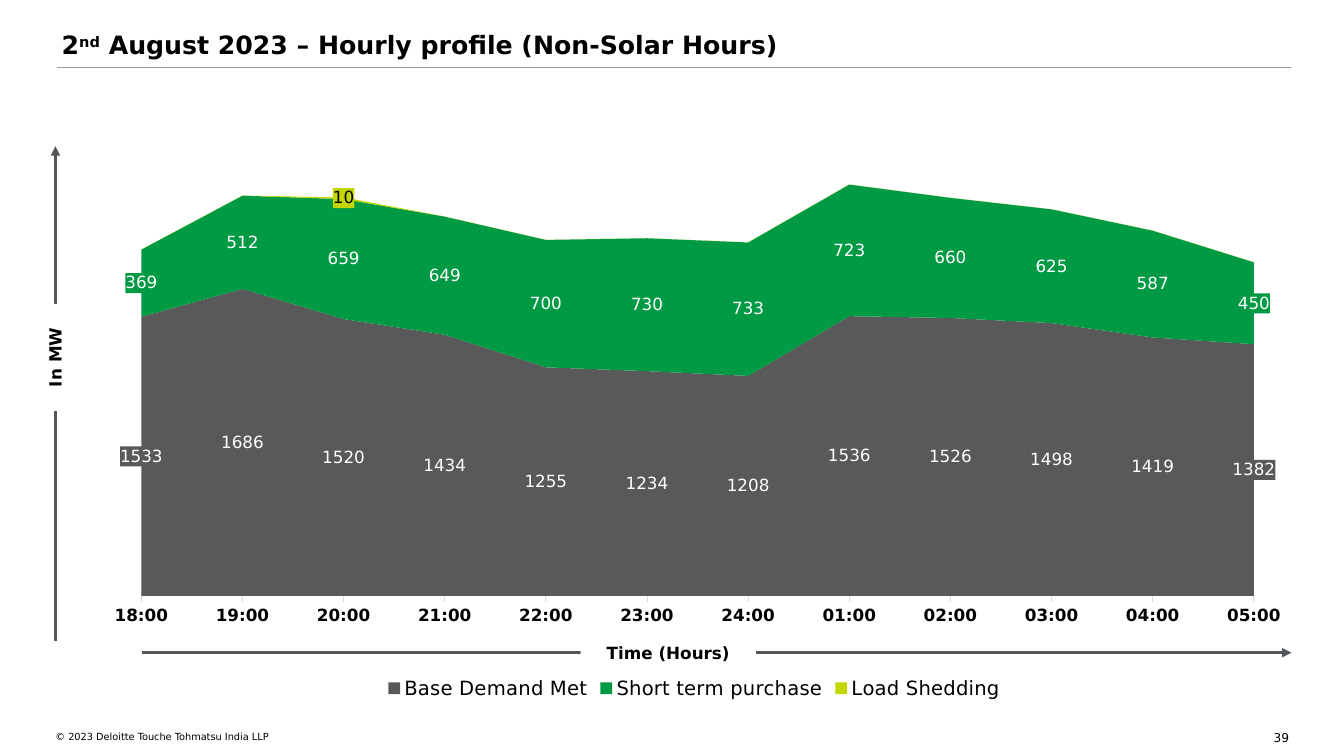
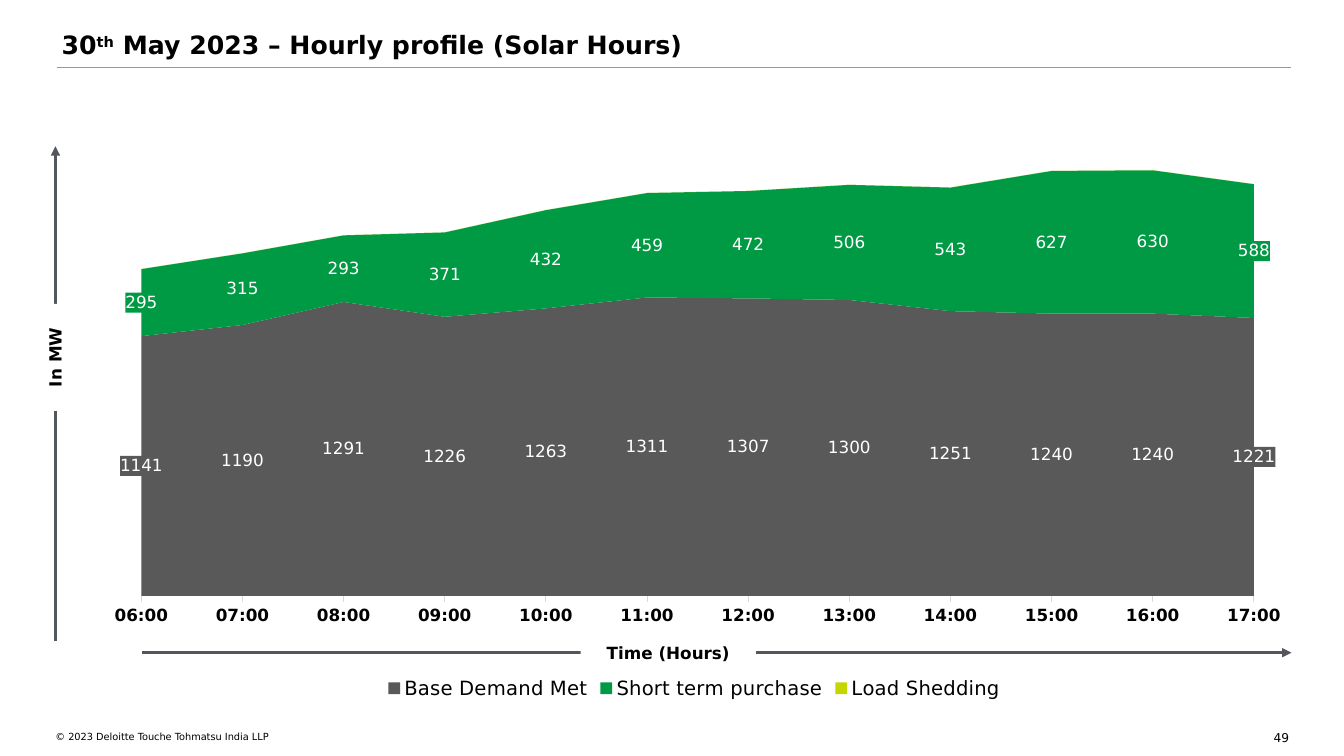
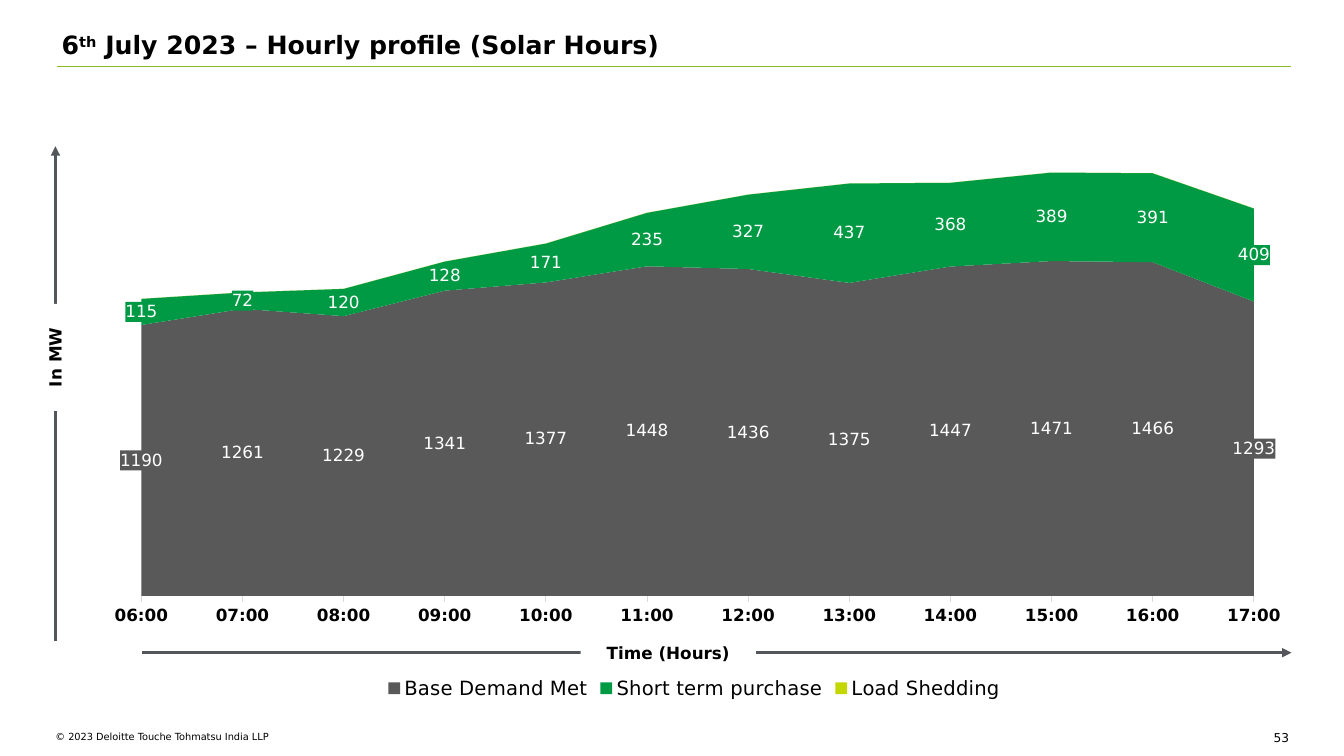
from dataclasses import dataclass

from pptx import Presentation
from pptx.chart.data import CategoryChartData
from pptx.dml.color import RGBColor
from pptx.enum.chart import XL_CHART_TYPE as ChartType
from pptx.enum.chart import XL_LEGEND_POSITION as LegendPosition
from pptx.enum.chart import XL_TICK_MARK as TickMark
from pptx.enum.shapes import MSO_CONNECTOR as Connector
from pptx.enum.shapes import MSO_SHAPE as Shape
from pptx.enum.text import MSO_ANCHOR as Anchor
from pptx.enum.text import MSO_AUTO_SIZE as AutoSize
from pptx.enum.text import PP_ALIGN as Align
from pptx.oxml import parse_xml
from pptx.oxml.ns import nsdecls
from pptx.util import Pt


@dataclass(frozen=True)
class Theme:
    font: str = "DejaVu Sans"
    black: str = "000000"
    white: str = "FFFFFF"
    grey_rule: str = "97999B"
    green_rule: str = "86BC25"
    arrow: str = "53565A"
    axis: str = "D9D9D9"
    base_demand: str = "595959"
    purchase: str = "009A44"
    shedding: str = "C4D600"
    title_size: float = 18
    legend_size: float = 14
    label_size: float = 12
    chart_size: float = 10
    number_size: float = 8.7
    footer_size: float = 7


THEME = Theme()
COPYRIGHT = "© 2023 Deloitte Touche Tohmatsu India LLP"
PLOT_LAYOUT = {"x": 0.035, "y": 0.098, "w": 0.936, "h": 0.729}
SERIES = (
    ("Base Demand Met", THEME.base_demand, THEME.white),
    ("Short term purchase", THEME.purchase, THEME.white),
    ("Load Shedding", THEME.shedding, THEME.black),
)


def hours(first, last):
    return [f"{hour:02d}:00" for hour in range(first, last + 1)]


SOLAR_HOURS = hours(6, 17)
NON_SOLAR_HOURS = hours(18, 24) + hours(1, 5)

PROFILES = [
    {
        "title": ("2", "nd", " August 2023 – Hourly profile (Non-Solar Hours)"),
        "number": 39, "rule": (THEME.grey_rule, 48.4),
        "hours": NON_SOLAR_HOURS, "maximum": 2500,
        "values": (
            (1533, 1686, 1520, 1434, 1255, 1234, 1208, 1536, 1526, 1498, 1419, 1382),
            (369, 512, 659, 649, 700, 730, 733, 723, 660, 625, 587, 450),
            (0, 0, 10) + (0,) * 9,
        ),
    },
    {
        "title": ("30", "th", " May 2023 – Hourly profile (Solar Hours)"),
        "number": 49, "rule": (THEME.grey_rule, 48.4),
        "hours": SOLAR_HOURS, "maximum": 2000,
        "values": (
            (1141, 1190, 1291, 1226, 1263, 1311, 1307, 1300, 1251, 1240, 1240, 1221),
            (295, 315, 293, 371, 432, 459, 472, 506, 543, 627, 630, 588),
            (0,) * 12,
        ),
    },
    {
        "title": ("6", "th", " July 2023 – Hourly profile (Solar Hours)"),
        "number": 53, "rule": (THEME.green_rule, 47.6),
        "hours": SOLAR_HOURS, "maximum": 2000,
        "values": (
            (1190, 1261, 1229, 1341, 1377, 1448, 1436, 1375, 1447, 1471, 1466, 1293),
            (115, 72, 120, 128, 171, 235, 327, 437, 368, 389, 391, 409),
            (0,) * 12,
        ),
    },
]


def points(*lengths):
    return [Pt(length) for length in lengths]


def insert_fill(text_properties, color=None):
    """Give a chart part a fill, or none, ahead of its text properties."""
    fill = (f'<a:solidFill><a:srgbClr val="{color}"/></a:solidFill>'
            if color else "<a:noFill/>")
    text_properties.addprevious(parse_xml(
        f'<c:spPr {nsdecls("c", "a")}>{fill}<a:ln><a:noFill/></a:ln></c:spPr>'))


class Deck:
    def __init__(self, theme):
        self.theme = theme
        self.presentation = Presentation()
        self.presentation.slide_width, self.presentation.slide_height = points(960, 540)
        self.slide = None

    def style(self, font, size, color, bold=False):
        font.name = self.theme.font
        font.size = Pt(size)
        font.bold = bold
        font.color.rgb = RGBColor.from_string(color)

    def add_run(self, paragraph, text, size, bold=False):
        run = paragraph.add_run()
        run.text = text
        self.style(run.font, size, self.theme.black, bold)
        return run

    def prepare_frame(self, shape, margin=0, anchor=Anchor.TOP):
        """Set margins and anchor; return the first paragraph."""
        frame = shape.text_frame
        frame.word_wrap = True
        frame.auto_size = AutoSize.NONE
        frame.vertical_anchor = anchor
        frame.margin_left = frame.margin_right = Pt(margin)
        frame.margin_top = frame.margin_bottom = Pt(margin)
        return frame.paragraphs[0]

    def add_slide(self, title, number, rule):
        layout = self.presentation.slide_layouts.get_by_name("Title Only")
        self.slide = self.presentation.slides.add_slide(layout)
        self.add_title(*title)
        rule_color, rule_top = rule
        self.add_line((40.5, rule_top), (922.5, rule_top), rule_color, 1)
        self.add_text(COPYRIGHT, (39.6, 522, 422, 16), self.theme.footer_size)
        self.add_text(str(number), (896.4, 522, 24.5, 8), self.theme.number_size,
                      Align.RIGHT)

    def add_title(self, day, ordinal, rest):
        shape = self.slide.shapes.title
        shape.left, shape.top, shape.width, shape.height = points(44, 21, 879, 27.4)
        paragraph = self.prepare_frame(shape)
        paragraph.alignment = Align.LEFT
        size = self.theme.title_size
        self.add_run(paragraph, day, size, True)
        raised = self.add_run(paragraph, ordinal, size, True)
        raised.font._element.set("baseline", "30000")
        self.add_run(paragraph, rest, size, True)

    def add_text(self, text, box, size, alignment=Align.LEFT):
        shape = self.slide.shapes.add_textbox(*points(*box))
        paragraph = self.prepare_frame(shape)
        paragraph.alignment = alignment
        self.add_run(paragraph, text, size)

    def add_line(self, start, end, color, width, arrow=False):
        line = self.slide.shapes.add_connector(
            Connector.STRAIGHT, *points(*start, *end))
        line.line.color.rgb = RGBColor.from_string(color)
        line.line.width = Pt(width)
        if arrow:
            line.line._get_or_add_ln().append(
                parse_xml(f'<a:tailEnd {nsdecls("a")} type="triangle"/>'))
        line._element.spPr.append(parse_xml(f'<a:effectLst {nsdecls("a")}/>'))

    def add_axis_label(self, text, box, rotation=0):
        shape = self.slide.shapes.add_shape(Shape.RECTANGLE, *points(*box))
        shape.shadow.inherit = False
        shape.fill.solid()
        shape.fill.fore_color.rgb = RGBColor.from_string(self.theme.white)
        shape.line.fill.background()
        shape.rotation = rotation
        paragraph = self.prepare_frame(shape, 7.2, Anchor.MIDDLE)
        paragraph.alignment = Align.CENTER
        paragraph.line_spacing = 1.06
        self.add_run(paragraph, text, self.theme.label_size, True)

    def add_axis_arrows(self):
        for start, end in (((101.5, 466.2), (922.5, 466.2)),
                           ((39.6, 458), (39.6, 104.4))):
            self.add_line(start, end, self.theme.arrow, 2.25, True)
        self.add_axis_label("Time (Hours)", (414.7, 456.5, 125.3, 18.7))
        self.add_axis_label("In MW", (0.7, 240.5, 76.3, 29.5), 270)

    def add_area_chart(self, categories, values, maximum):
        data = CategoryChartData(number_format="0")
        data.categories = categories
        for (name, _, _), numbers in zip(SERIES, values):
            data.add_series(name, numbers)
        chart = self.slide.shapes.add_chart(
            ChartType.AREA_STACKED, *points(71.3, 56.8, 849, 446), data).chart
        chart.has_title = False
        self.style(chart.font, self.theme.chart_size, self.theme.white)
        insert_fill(chart._chartSpace.txPr)
        self.place_plot(chart)
        self.format_axes(chart, maximum)
        chart.has_legend = True
        chart.legend.position = LegendPosition.BOTTOM
        chart.legend.include_in_layout = False
        self.style(chart.legend.font, self.theme.legend_size, self.theme.black)
        chart.plots[0].vary_by_categories = False
        for series, (_, color, label_color) in zip(chart.plots[0].series, SERIES):
            series.format.fill.solid()
            series.format.fill.fore_color.rgb = RGBColor.from_string(color)
            series.format.line.fill.background()
            self.add_value_labels(series, color, label_color)

    def place_plot(self, chart):
        plot_area = chart._chartSpace.chart.plotArea
        for layout in plot_area.xpath("c:layout"):
            plot_area.remove(layout)
        modes = '<c:xMode val="edge"/><c:yMode val="edge"/>'
        sides = "".join(f'<c:{side} val="{share}"/>'
                        for side, share in PLOT_LAYOUT.items())
        plot_area.insert(0, parse_xml(
            f'<c:layout {nsdecls("c")}><c:manualLayout>'
            f'<c:layoutTarget val="inner"/>{modes}{sides}'
            '</c:manualLayout></c:layout>'))

    def format_axes(self, chart, maximum):
        value_axis = chart.value_axis
        value_axis.minimum_scale = 0
        value_axis.maximum_scale = maximum
        value_axis.has_major_gridlines = False
        value_axis.visible = False
        category_axis = chart.category_axis
        category_axis.has_major_gridlines = False
        category_axis.major_tick_mark = TickMark.OUTSIDE
        category_axis.format.line.color.rgb = RGBColor.from_string(self.theme.axis)
        category_axis.format.line.width = Pt(0.75)
        self.style(category_axis.tick_labels.font, self.theme.label_size,
                   self.theme.black, True)

    def add_value_labels(self, series, color, label_color):
        """Label every point, or only the non-zero ones when some are zero."""
        if all(series.values):
            labels = [series.data_labels]
            series.data_labels.show_value = True
        else:
            labels = [series.points[index].data_label
                      for index, value in enumerate(series.values) if value]
        for label in labels:
            self.style(label.font, self.theme.label_size, label_color)
        for text_properties in series._element.xpath("c:dLbls//c:txPr"):
            insert_fill(text_properties, color)


def main():
    deck = Deck(THEME)
    for profile in PROFILES:
        deck.add_slide(profile["title"], profile["number"], profile["rule"])
        deck.add_axis_arrows()
        deck.add_area_chart(profile["hours"], profile["values"], profile["maximum"])
    deck.presentation.save("out.pptx")


if __name__ == "__main__":
    main()
